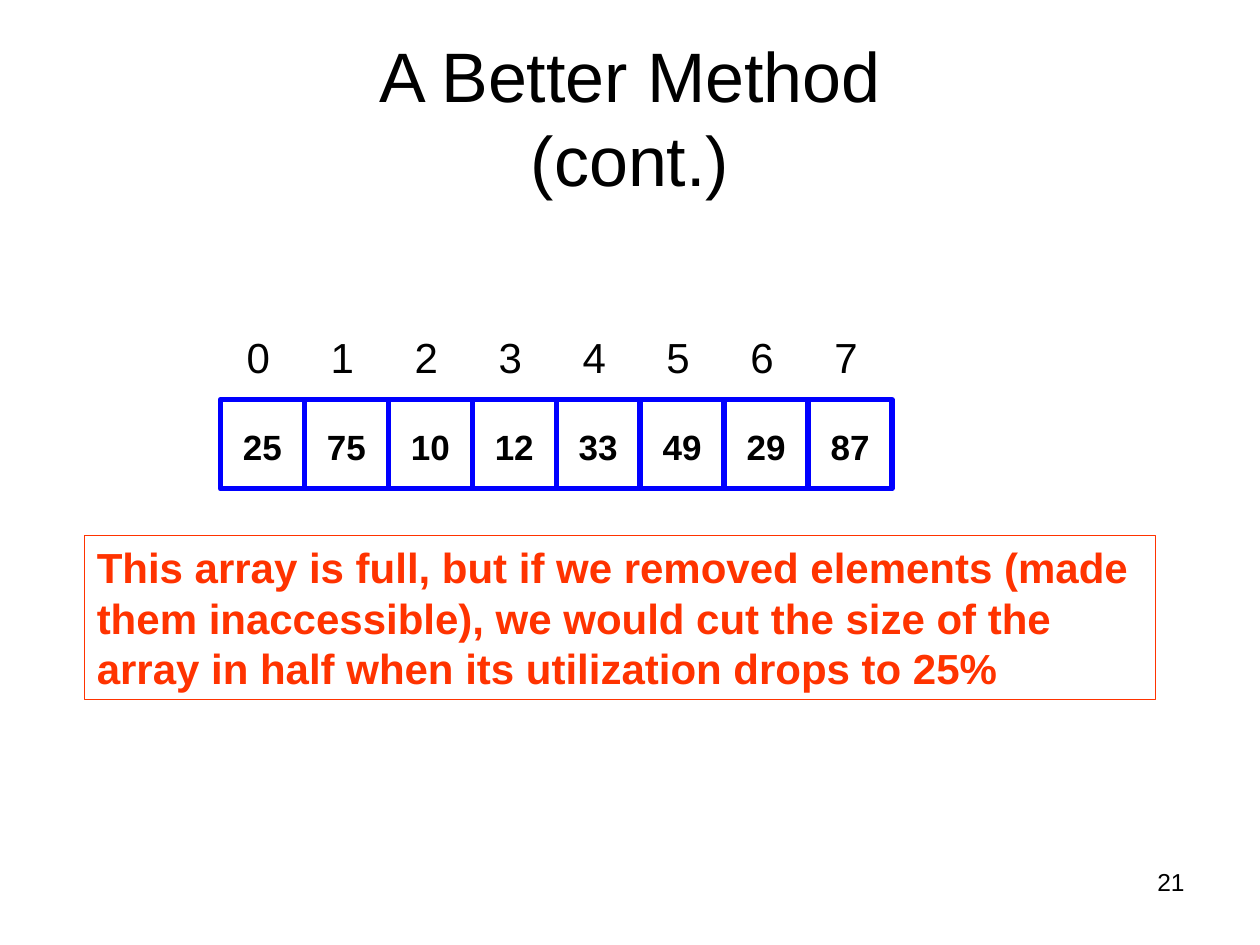
from dataclasses import dataclass

from lxml.etree import SubElement
from pptx import Presentation
from pptx.dml.color import RGBColor
from pptx.enum.shapes import MSO_SHAPE
from pptx.enum.text import MSO_ANCHOR, PP_ALIGN
from pptx.oxml.ns import qn
from pptx.util import Inches, Pt


@dataclass(frozen=True)
class Theme:
    """Colours, font and type sizes of the slide."""
    font: str = "Arial"
    black: RGBColor = RGBColor(0, 0, 0)
    white: RGBColor = RGBColor(255, 255, 255)
    blue: RGBColor = RGBColor(0, 0, 255)
    red: RGBColor = RGBColor(255, 51, 0)
    title: int = 40
    body: int = 24
    value: int = 20
    number: int = 14


THEME = Theme()


def write(s, text, size, color=THEME.black, bold=False, align=PP_ALIGN.LEFT,
          anchor=MSO_ANCHOR.TOP, tabs=()):
    """Fill a shape with one styled paragraph, with optional tab stops in inches."""
    tf = s.text_frame
    tf.word_wrap = True
    tf.vertical_anchor = anchor
    p = tf.paragraphs[0]
    p.text = text
    p.alignment = align
    if tabs:
        tab_list = SubElement(p._p.get_or_add_pPr(), qn("a:tabLst"))
        for pos in tabs:
            SubElement(tab_list, qn("a:tab"), pos=str(Inches(pos)), algn="l")
    font = p.font
    font.name, font.size, font.bold = THEME.font, Pt(size), bold
    font.color.rgb = color


def add_text(slide, box, text, size, **style):
    """Add a text box at the given box."""
    write(slide.shapes.add_textbox(*map(Inches, box)), text, size, **style)


def add_box(slide, box, line, width, fill=None):
    """Add an outlined rectangle."""
    s = slide.shapes.add_shape(MSO_SHAPE.RECTANGLE, *map(Inches, box))
    s.shadow.inherit = False
    if fill is None:
        s.fill.background()
    else:
        s.fill.solid()
        s.fill.fore_color.rgb = fill
    s.line.color.rgb = line
    s.line.width = Pt(width)
    return s


def add_array(slide, box, values):
    """Draw the array cells with their values, and the indices above them."""
    left, top, width, height = box
    pitch = width / len(values)
    for i, value in enumerate(values):
        x = left + i * pitch
        add_box(slide, (x, top, pitch, height), THEME.blue, 3, THEME.white)
        add_text(slide, (x + 0.08, top + 0.16, pitch, 0.33), str(value),
                 THEME.value, bold=True)
    indices = "".join(f"\t{i}" for i in range(len(values)))
    add_text(slide, (left - 0.25, top - 0.59, 6.67, 0.5), indices, THEME.body,
             tabs=[0.36 + i * pitch for i in range(len(values))])


def add_message(slide, box, text):
    """Add the red framed remark."""
    s = add_box(slide, box, THEME.red, 0.75)
    write(s, text, THEME.body, color=THEME.red, bold=True)


def main():
    """Build the slide and save it."""
    prs = Presentation()
    prs.slide_width, prs.slide_height = Inches(10), Inches(7.5)
    slide = prs.slides.add_slide(prs.slide_layouts[6])
    add_text(slide, (0.5, 0.3, 9, 1.25), "A Better Method\v(cont.)", THEME.title,
             align=PP_ALIGN.CENTER, anchor=MSO_ANCHOR.MIDDLE)
    add_array(slide, (1.75, 3.17, 5.33, 0.71), [25, 75, 10, 12, 33, 49, 29, 87])
    add_message(slide, (0.67, 4.25, 8.5, 1.3),
                "This array is full, but if we removed elements (made them "
                "inaccessible), we would cut the size of the array in half "
                "when its utilization drops to 25%")
    add_text(slide, (7.17, 6.83, 2.33, 0.52), "21", THEME.number,
             align=PP_ALIGN.RIGHT)
    prs.save("out.pptx")


if __name__ == "__main__":
    main()
